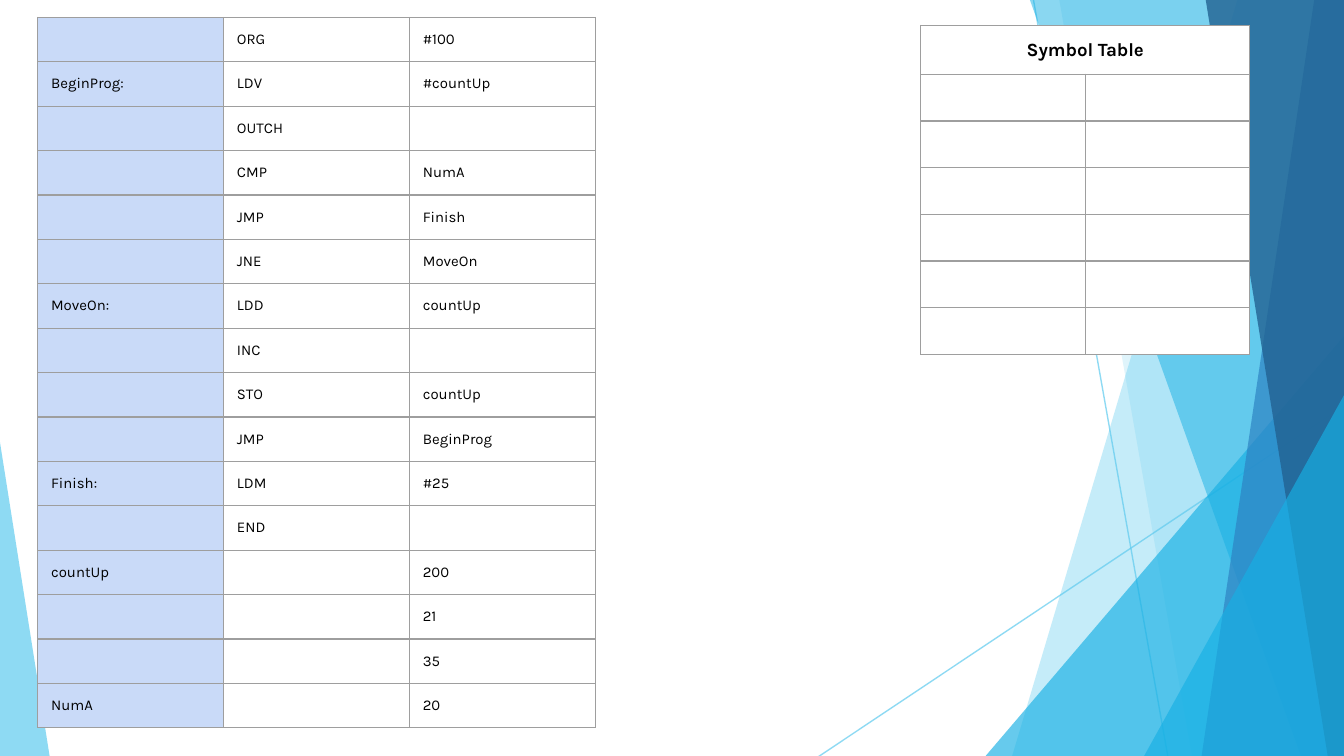
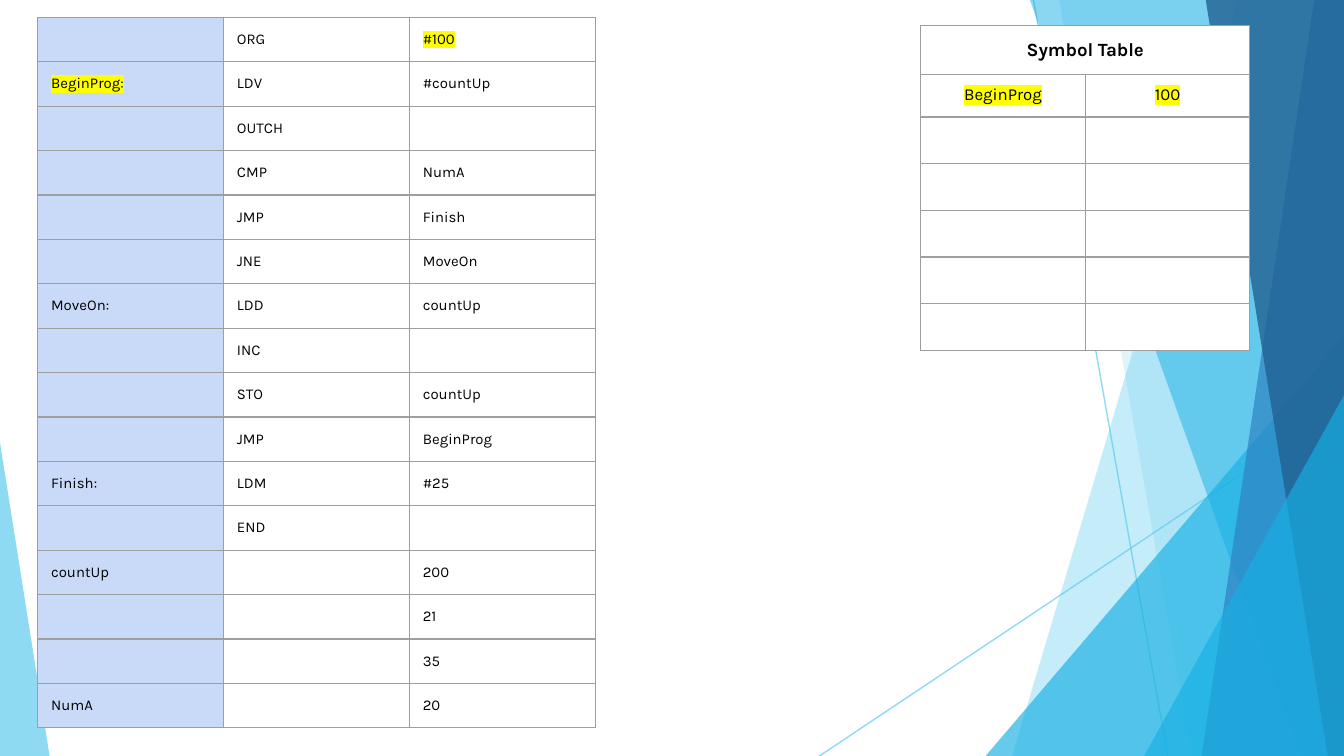
"""Build two slides that trace an assembly program into its symbol table."""
import dataclasses
import typing

import lxml.etree
import pptx
import pptx.dml.color
import pptx.enum.shapes
import pptx.enum.text
import pptx.oxml.ns
import pptx.util

Inches = pptx.util.Inches
Pt = pptx.util.Pt
qn = pptx.oxml.ns.qn


@dataclasses.dataclass(frozen=True)
class Theme:
    font: str = "Karla"
    ink: str = "000000"
    paper: str = "FFFFFF"
    label: str = "C9DAF8"
    mark: str = "FFFF00"
    grid: str = "9E9E9E"
    sky: str = "5FCBEF"
    cyan: str = "17B0E4"
    blue: str = "2E83C3"
    navy: str = "226292"
    code: float = 8
    entry: float = 9
    head: float = 10
    rule: float = 0.75


class Ray(typing.NamedTuple):
    start: tuple[float, float]
    end: tuple[float, float]


class Band(typing.NamedTuple):
    top: float
    foot: float
    color: str
    alpha: int


class Peak(typing.NamedTuple):
    left: float
    top: float
    width: float
    tip: float
    color: str
    alpha: int


class Style(typing.NamedTuple):
    size: float
    fill: str
    bold: bool = False
    center: bool = False
    mark: bool = False
    space: float | None = None


class Grid(typing.NamedTuple):
    left: float
    top: float
    width: float
    height: float
    row: float


THEME = Theme()
RIGHT, BASE, EDGE = 10, 5.63, -0.01
RAYS = [Ray((7.69, 0), (8.69, BASE)), Ray((RIGHT, 3.02), (6.09, BASE))]
FACETS = [
    Band(9.21, 7.53, THEME.sky, 36),
    Band(7.88, 8.87, THEME.sky, 20),
    Peak(7.33, 2.5, 2.67, 1, THEME.cyan, 66),
    Band(7.66, 9.68, THEME.cyan, 50),
    Band(9.78, 8.94, THEME.blue, 70),
    Band(8.97, 9.88, THEME.navy, 80),
    Peak(8.51, 2.94, 1.49, 1, THEME.cyan, 66),
    Peak(0, 3.29, 0.37, 0, THEME.sky, 70),
]
CODE = [
    ("", "ORG", "#100"),
    ("BeginProg:", "LDV", "#countUp"),
    ("", "OUTCH", ""),
    ("", "CMP", "NumA"),
    ("", "JMP", "Finish"),
    ("", "JNE", "MoveOn"),
    ("MoveOn:", "LDD", "countUp"),
    ("", "INC", ""),
    ("", "STO", "countUp"),
    ("", "JMP", "BeginProg"),
    ("Finish:", "LDM", "#25"),
    ("", "END", ""),
    ("countUp", "", "200"),
    ("", "", "21"),
    ("", "", "35"),
    ("NumA", "", "20"),
]
CODE_GRID = Grid(0.28, 0.13, 4.15, 5.33, 0.28)
NAME_GRID = Grid(6.85, 0.19, 2.45, 2.29, 0.31)
NAME_ROWS = 6
STEPS = [([], set()), ([("BeginProg", "100")], {"#100", "BeginProg:"})]


def rgb(color: str) -> pptx.dml.color.RGBColor:
    return pptx.dml.color.RGBColor.from_string(color)


def fade(props, alpha: int) -> None:
    for node in props.iter(qn("a:srgbClr")):
        lxml.etree.SubElement(node, qn("a:alpha"), val=str(alpha * 1000))


def draw_ray(shapes, ray: Ray) -> None:
    kind = pptx.enum.shapes.MSO_CONNECTOR.STRAIGHT
    line = shapes.add_connector(kind, *map(Inches, ray.start + ray.end))
    line.line.color.rgb = rgb(THEME.sky)
    line.line.width = Pt(THEME.rule)
    props = line._element.spPr
    fade(props, 70)
    lxml.etree.SubElement(props, qn("a:effectLst"))


def draw_facet(shapes, item: Band | Peak) -> None:
    if isinstance(item, Band):
        pen = shapes.build_freeform(Inches(item.top), Inches(EDGE))
        spots = [(RIGHT, EDGE), (RIGHT, BASE), (item.foot, BASE)]
        pen.add_line_segments([(Inches(x), Inches(y)) for x, y in spots])
        shape = pen.convert_to_shape()
    else:
        box = (item.left, item.top, item.width, BASE - item.top)
        kind = pptx.enum.shapes.MSO_SHAPE.ISOSCELES_TRIANGLE
        shape = shapes.add_shape(kind, *map(Inches, box))
        shape.adjustments[0] = item.tip
    shape.shadow.inherit = False
    shape.fill.solid()
    shape.fill.fore_color.rgb = rgb(item.color)
    shape.line.fill.background()
    fade(shape._element.spPr, item.alpha)


def draw_back(slide) -> None:
    slide.background.fill.solid()
    slide.background.fill.fore_color.rgb = rgb(THEME.paper)
    shapes = slide.shapes.add_group_shape().shapes
    for ray in RAYS:
        draw_ray(shapes, ray)
    for item in FACETS:
        draw_facet(shapes, item)


def add_color(node, tag: str, color: str):
    child = lxml.etree.SubElement(node, qn(tag))
    lxml.etree.SubElement(child, qn("a:srgbClr"), val=color)
    return child


def set_edges(cell) -> None:
    props = cell._tc.get_or_add_tcPr()
    for spot, side in enumerate(("a:lnL", "a:lnR", "a:lnT", "a:lnB")):
        line = lxml.etree.Element(qn(side), w=str(Pt(THEME.rule)))
        add_color(line, "a:solidFill", THEME.grid)
        props.insert(spot, line)


def set_cell(cell, text: str, style: Style) -> None:
    cell.fill.solid()
    cell.fill.fore_color.rgb = rgb(style.fill)
    cell.margin_left = cell.margin_right = Inches(0.1)
    cell.margin_top = cell.margin_bottom = Inches(0.1)
    set_edges(cell)
    cell.text_frame.text = text
    para = cell.text_frame.paragraphs[0]
    if style.center:
        para.alignment = pptx.enum.text.PP_ALIGN.CENTER
    if style.space:
        para.line_spacing = style.space
    for run in para.runs:
        font = run.font
        font.size, font.name, font.bold = Pt(style.size), THEME.font, style.bold
        font.color.rgb = rgb(THEME.ink)
        if style.mark:
            props = run._r.get_or_add_rPr()
            glow = add_color(props, "a:highlight", THEME.mark)
            props.find(qn("a:solidFill")).addnext(glow)
    if not text:
        size = str(int(style.size * 100))
        end = lxml.etree.SubElement(para._p, qn("a:endParaRPr"), sz=size)
        lxml.etree.SubElement(end, qn("a:latin"), typeface=THEME.font)


def add_grid(slide, grid: Grid, rows: int, cols: int):
    box = map(Inches, grid[:4])
    frame = slide.shapes.add_table(rows, cols, *box)
    table = frame.table
    table.first_row = table.horz_banding = False
    for row in table.rows:
        row.height = Inches(grid.row)
    frame.height = Inches(grid.height)
    return table


def draw_code(slide, marks: set[str]) -> None:
    table = add_grid(slide, CODE_GRID, len(CODE), len(CODE[0]))
    for r, line in enumerate(CODE):
        for c, text in enumerate(line):
            fill = THEME.paper if c else THEME.label
            style = Style(THEME.code, fill, mark=text in marks)
            set_cell(table.cell(r, c), text, style)


def draw_names(slide, names: list[tuple[str, str]]) -> None:
    table = add_grid(slide, NAME_GRID, NAME_ROWS + 1, 2)
    title = Style(THEME.head, THEME.paper, bold=True, center=True)
    blank = Style(THEME.entry, THEME.paper, center=True)
    entry = blank._replace(mark=True, space=0.8)
    table.cell(0, 0).merge(table.cell(0, 1))
    rows = [("Symbol Table", "")] + names
    rows += [("", "")] * (NAME_ROWS - len(names))
    for r, line in enumerate(rows):
        for c, text in enumerate(line):
            style = title if r == 0 else entry if text else blank
            set_cell(table.cell(r, c), text, style)


def main() -> None:
    deck = pptx.Presentation()
    deck.slide_width = Inches(RIGHT)
    deck.slide_height = Inches(RIGHT) * 9 // 16
    for names, marks in STEPS:
        slide = deck.slides.add_slide(deck.slide_layouts[6])
        draw_back(slide)
        draw_code(slide, marks)
        draw_names(slide, names)
    deck.save("out.pptx")


if __name__ == "__main__":
    main()
